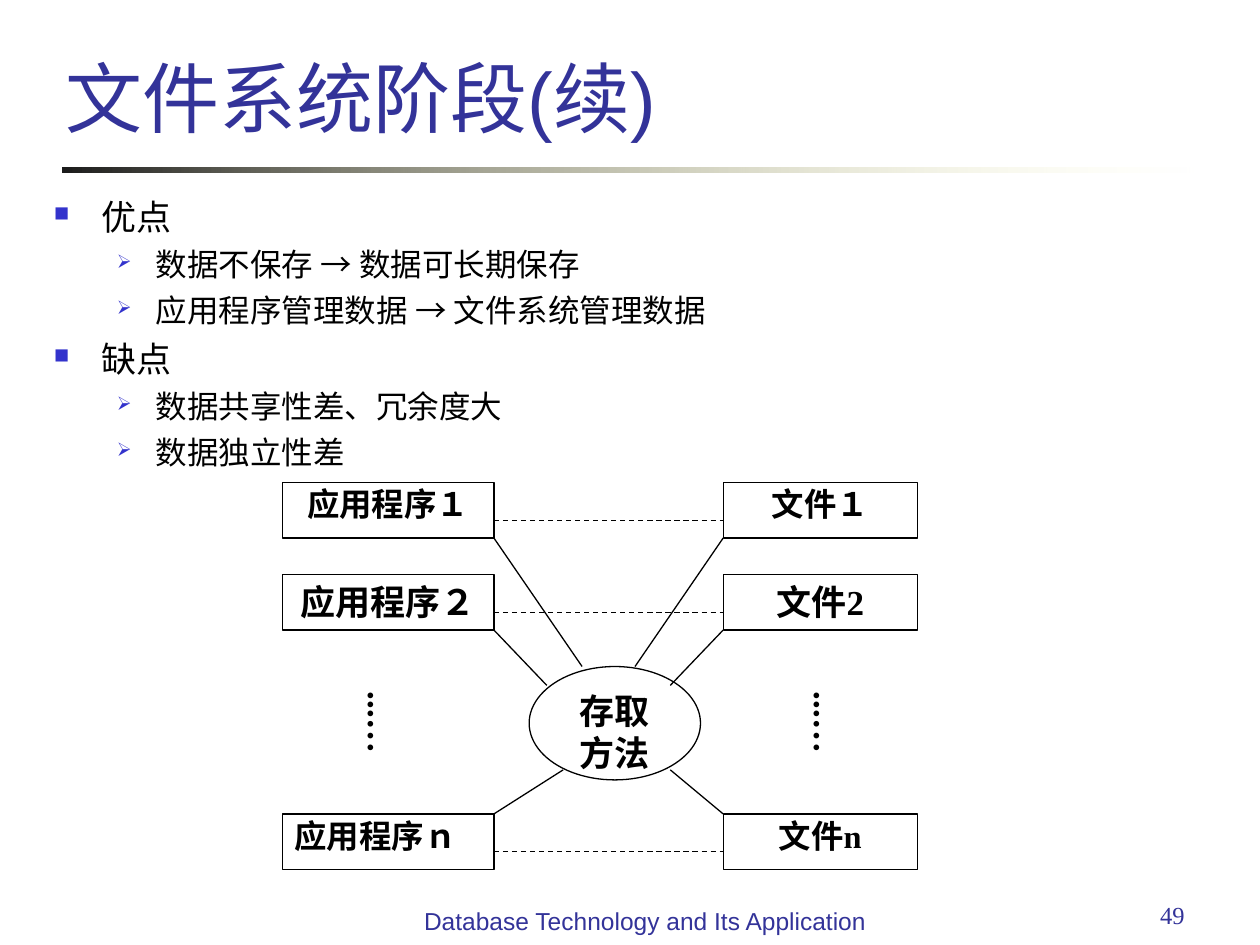
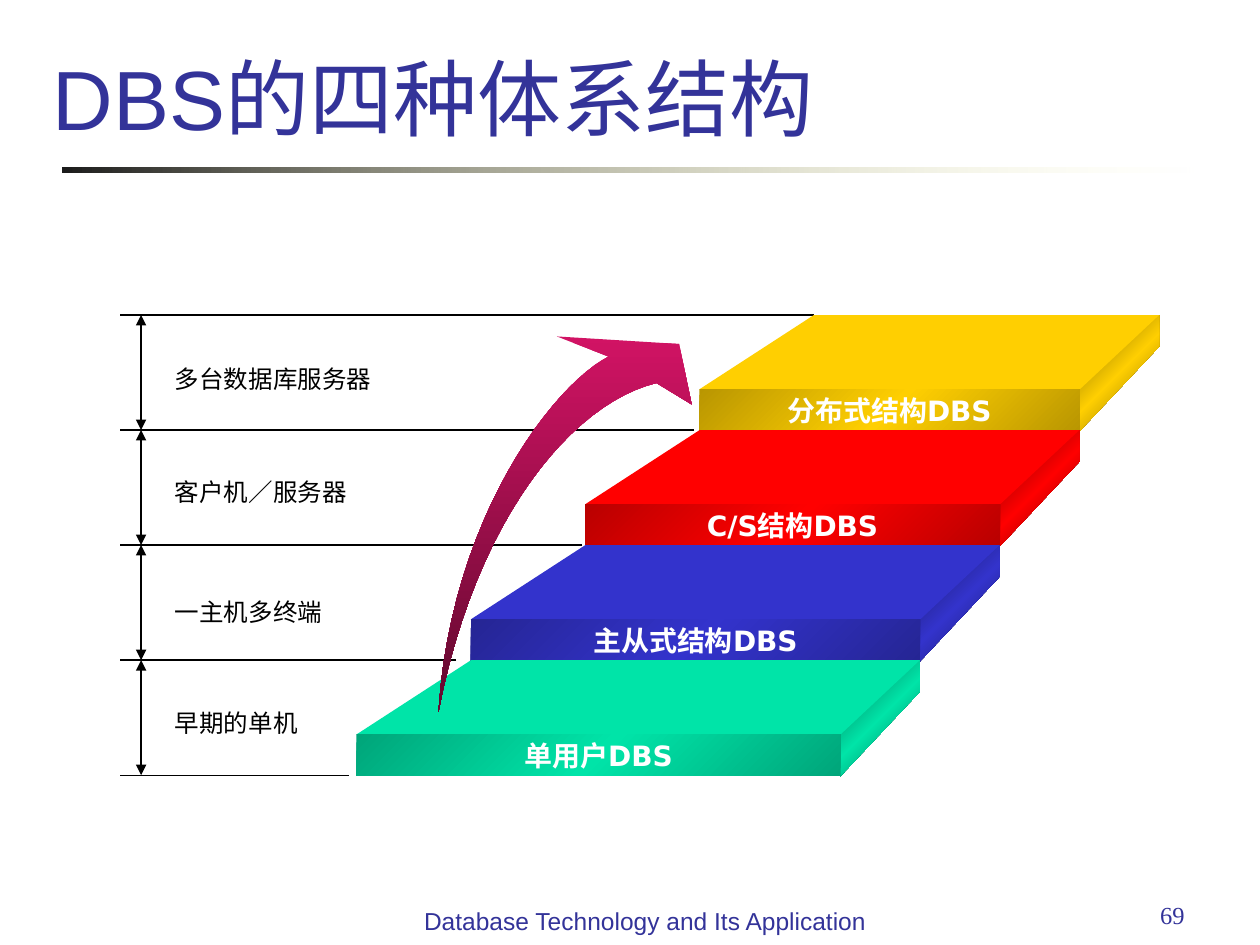
from lxml import etree
from pptx import Presentation
from pptx.dml.color import RGBColor
from pptx.enum import dml, shapes, text
from pptx.oxml.ns import qn
from pptx.util import Inches, Pt

# Shared style
NAVY, BULLET, BLACK, WHITE = "333399", "3333CC", "000000", "FFFFFF"
SANS, SERIF, LABEL = "Arial", "Times New Roman", "DejaVu Sans"
FOOTER = "Database Technology and Its Application"
LEFT, CENTER, RIGHT = text.PP_ALIGN.LEFT, text.PP_ALIGN.CENTER, text.PP_ALIGN.RIGHT
TOP, MIDDLE, BOTTOM = text.MSO_ANCHOR.TOP, text.MSO_ANCHOR.MIDDLE, text.MSO_ANCHOR.BOTTOM

# Slide 1 content
POINTS = [
    (0, "优点"),
    (1, "数据不保存 → 数据可长期保存"),
    (1, "应用程序管理数据 → 文件系统管理数据"),
    (0, "缺点"),
    (1, "数据共享性差、冗余度大"),
    (1, "数据独立性差"),
]
LEVELS = [  # size, margin, hanging indent, space before, bullet
    (20, 0.38, 0.38, 5, "■"),
    (18, 0.81, 0.31, 4.5, "➢"),
]
# program, file, top, text size, line spacing, program alignment,
# box edge where the spokes start, spoke ends on the hub (left x, right x, y)
PAIRS = [
    ("应用程序１", "文件１", 3.83, 18.5, 0.9, CENTER, 0.44, (4.62, 5.04, 5.29)),
    ("应用程序２", "文件2", 4.56, 20, 1, CENTER, 0.44, (4.34, 5.32, 5.44)),
    ("应用程序ｎ", "文件n", 6.46, 18.5, 0.9, text.PP_ALIGN.JUSTIFY, 0, (4.47, 5.32, 6.11)),
]
PROGRAM_X, PROGRAM_W, FILE_X, FILE_W, BOX_H = 2.24, 1.68, 5.74, 1.54, 0.44
ELLIPSES = [(2.72, 0.77), (6.26, 0.84)]  # left, height

# Slide 2 content, from the top step down
STEPS = [  # name, stage, label top, colour, front shade, side shade
    ("分布式结构DBS", "多台数据库服务器", 2.84, "FFCF01", "B99601", "766000"),
    ("C/S结构DBS", "客户机／服务器", 3.74, "FF0000", "B90000", "760000"),
    ("主从式结构DBS", "一主机多终端", 4.69, "3333CC", "252594", "18185E"),
    ("单用户DBS", "早期的单机", 5.57, "00E4A8", "00A57A", "006A4E"),
]
RULE_ENDS = [6.46, 5.51, 4.62, 3.62, 2.77]
STEP_TOP, STEP_PITCH = 2.5, 0.913
# Arrow edges as Bezier control points
OUTER = [(3.48, 5.65), (3.58, 4.1), (4.4, 3.05), (4.83, 2.83)]
HEAD = [(4.42, 2.67), (5.39, 2.73), (5.49, 3.21)]
INNER = [(5.21, 3.04), (4.55, 3.2), (3.78, 4.1), (3.48, 5.65)]


def rgb(value):
    return RGBColor.from_string(value)


def add_xml(parent, tag, **attrs):
    return etree.SubElement(parent, qn(tag), {k: str(v) for k, v in attrs.items()})


def paint(sp, fill, angle=0):
    """Fill with one colour, or with a list of (position, colour, alpha)."""
    sp.shadow.inherit = False
    sp.line.fill.background()
    if isinstance(fill, str):
        sp.fill.solid()
        sp.fill.fore_color.rgb = rgb(fill)
        return
    sp.fill.gradient()
    sp.fill.gradient_angle = -angle % 360
    stops = sp._element.spPr.find(qn("a:gradFill")).find(qn("a:gsLst"))
    for old in list(stops):
        stops.remove(old)
    for pos, color, alpha in fill:
        stop = add_xml(stops, "a:gs", pos=pos * 1000)
        clr = add_xml(stop, "a:srgbClr", val=color)
        if alpha < 100:
            add_xml(clr, "a:alpha", val=alpha * 1000)


def mirrored(edge, middle):
    return [(0, edge, 100), (50, middle, 100), (100, edge, 100)]


def style(p, size, font, color, bold=False):
    for r in p.runs:
        r.font.size, r.font.name, r.font.bold = Pt(size), font, bold
        r.font.color.rgb = rgb(color)


def write(sp, words, size, font, color=BLACK, bold=False, align=LEFT,
          anchor=TOP, wrap=True):
    tf = sp.text_frame
    tf.text = words
    tf.word_wrap, tf.vertical_anchor = wrap, anchor
    p = tf.paragraphs[0]
    p.alignment = align
    style(p, size, font, color, bold)
    return p


def textbox(slide, box, words, *args, **kwargs):
    sp = slide.shapes.add_textbox(*map(Inches, box))
    write(sp, words, *args, **kwargs)
    return sp


def shape(slide, kind, box, fill, angle=0):
    sp = slide.shapes.add_shape(kind, *map(Inches, box))
    paint(sp, fill, angle)
    return sp


def outlined(slide, kind, box, words, size, align=CENTER):
    sp = shape(slide, kind, box, WHITE)
    sp.line.color.rgb, sp.line.width = rgb(BLACK), Pt(0.75)
    return write(sp, words, size, SERIF, bold=True, align=align)


def line(slide, start, end, dashed=False, arrows=False):
    cx = slide.shapes.add_connector(shapes.MSO_CONNECTOR.STRAIGHT,
                                    *map(Inches, (*start, *end)))
    cx.line.color.rgb, cx.line.width = rgb(BLACK), Pt(0.75)
    if dashed:
        cx.line.dash_style = dml.MSO_LINE.DASH
    spPr = cx._element.spPr
    if arrows:
        for tag in ("a:headEnd", "a:tailEnd"):
            add_xml(spPr.find(qn("a:ln")), tag, type="triangle")
    add_xml(spPr, "a:effectLst")


def polygon(slide, points, fill, angle=0):
    points = [(Inches(x), Inches(y)) for x, y in points]
    fb = slide.shapes.build_freeform(*points[0])
    fb.add_line_segments(points[1:], close=True)
    paint(fb.convert_to_shape(), fill, angle)


def bezier(controls, steps=24):
    for t in (i / steps for i in range(steps + 1)):
        weights = ((1 - t) ** 3, 3 * t * (1 - t) ** 2, 3 * t * t * (1 - t), t ** 3)
        yield tuple(sum(w * c[axis] for w, c in zip(weights, controls))
                    for axis in (0, 1))


def new_slide(prs, title, box, size, number):
    """Blank slide with title, fading rule, page number and footer."""
    slide = prs.slides.add_slide(prs.slide_layouts[6])
    shape(slide, shapes.MSO_SHAPE.RECTANGLE, (0.5, 1.33, 9, 0.04),
          [(0, "1C1C1C", 100), (100, "FFFFB7", 0)])
    textbox(slide, box, title, size, SANS, NAVY, anchor=BOTTOM)
    textbox(slide, (7.17, 7.09, 2.33, 0.52), number, 14, SERIF, NAVY, align=RIGHT)
    textbox(slide, (3.19, 7.14, 3.86, 0.52), FOOTER, 14, SANS, NAVY, align=CENTER)
    return slide


def add_points(slide):
    tf = slide.shapes.add_textbox(*map(Inches, (0.33, 1.5, 9.46, 2.56))).text_frame
    tf.word_wrap = True
    for i, (level, words) in enumerate(POINTS):
        size, margin, hang, before, mark = LEVELS[level]
        p = tf.add_paragraph() if i else tf.paragraphs[0]
        p.text, p.level, p.space_before = words, level, Pt(before)
        style(p, size, SANS, BLACK)
        pPr = p._p.get_or_add_pPr()
        pPr.set("marL", str(Inches(margin)))
        pPr.set("indent", str(-Inches(hang)))
        add_xml(add_xml(pPr, "a:buClr"), "a:srgbClr", val=BULLET)
        add_xml(pPr, "a:buSzPct", val=60000)
        add_xml(pPr, "a:buChar", char=mark)


def file_system_slide(prs):
    slide = new_slide(prs, "文件系统阶段(续)", (0.42, 0, 8.78, 1.18), 44, "49")
    add_points(slide)
    rect = shapes.MSO_SHAPE.RECTANGLE
    program_right = PROGRAM_X + PROGRAM_W

    # Programs and files, joined by dashed lines
    for program, file, top, size, spacing, align, _, _ in PAIRS:
        for words, x, width, side in ((program, PROGRAM_X, PROGRAM_W, align),
                                      (file, FILE_X, FILE_W, CENTER)):
            p = outlined(slide, rect, (x, top, width, BOX_H), words, size, side)
            p.line_spacing = spacing
        line(slide, (program_right, top + 0.3), (FILE_X, top + 0.3), dashed=True)

    # Access-method hub and its spokes
    outlined(slide, shapes.MSO_SHAPE.OVAL, (4.2, 5.29, 1.36, 0.9), "存取方法", 20)
    for *_, top, _, _, _, edge, (left_x, right_x, hub_y) in PAIRS:
        line(slide, (program_right, top + edge), (left_x, hub_y))
        line(slide, (FILE_X, top + edge), (right_x, hub_y))

    # Vertical dots
    for x, height in ELLIPSES:
        sp = textbox(slide, (x, 5.39, 0.53, height), "...…", 20, SERIF, bold=True)
        tf = sp.text_frame
        tf.paragraphs[0].space_before = Pt(12.5)
        tf.margin_left = tf.margin_right = Inches(0.05)
        tf.margin_top = tf.margin_bottom = Inches(0.1)
        tf._txBody.bodyPr.set("vert", "eaVert")


def architecture_slide(prs):
    slide = new_slide(prs, "DBS的四种体系结构", (0.32, 0.6, 9.25, 0.62), 48, "69")

    # Rules, height arrows and stage labels
    levels = [STEP_TOP + i * STEP_PITCH for i in range(len(RULE_ENDS))]
    for x, y in zip(RULE_ENDS, levels):
        line(slide, (x, y), (0.95, y))
    for upper, lower in zip(levels, levels[1:]):
        line(slide, (1.12, upper), (1.12, lower), arrows=True)
    for _, stage, y, *_ in STEPS:
        textbox(slide, (1.29, y, 1.76, 0.34), stage, 14, LABEL, wrap=False)

    # Slabs: side, top and front
    for i, (name, _, _, color, front_shade, side_shade) in enumerate(STEPS):
        back, left, right = levels[i], 5.55 - 0.907 * i, 8.57 - 0.633 * i
        front, far = back + 0.59, right + 0.63
        bottom = front + 0.33
        polygon(slide, [(far, back + 0.25), (right, bottom), (right, front), (far, back)],
                mirrored(side_shade, color), 45)
        polygon(slide, [(right, front), (left, front), (left + 0.91, back), (far, back)],
                color)
        sp = shape(slide, shapes.MSO_SHAPE.RECTANGLE,
                   (left, front, right - left, bottom - front),
                   mirrored(front_shade, color), 45)
        write(sp, name, 16, LABEL, WHITE, True, CENTER, MIDDLE, False)

    # Curved arrow up the steps
    polygon(slide, [*bezier(OUTER), *HEAD, *bezier(INNER)],
            [(0, "D11364", 100), (100, "61092E", 100)], 90)


def main():
    prs = Presentation()
    prs.slide_width, prs.slide_height = Inches(10), Inches(7.5)
    file_system_slide(prs)
    architecture_slide(prs)
    prs.save("out.pptx")


if __name__ == "__main__":
    main()
